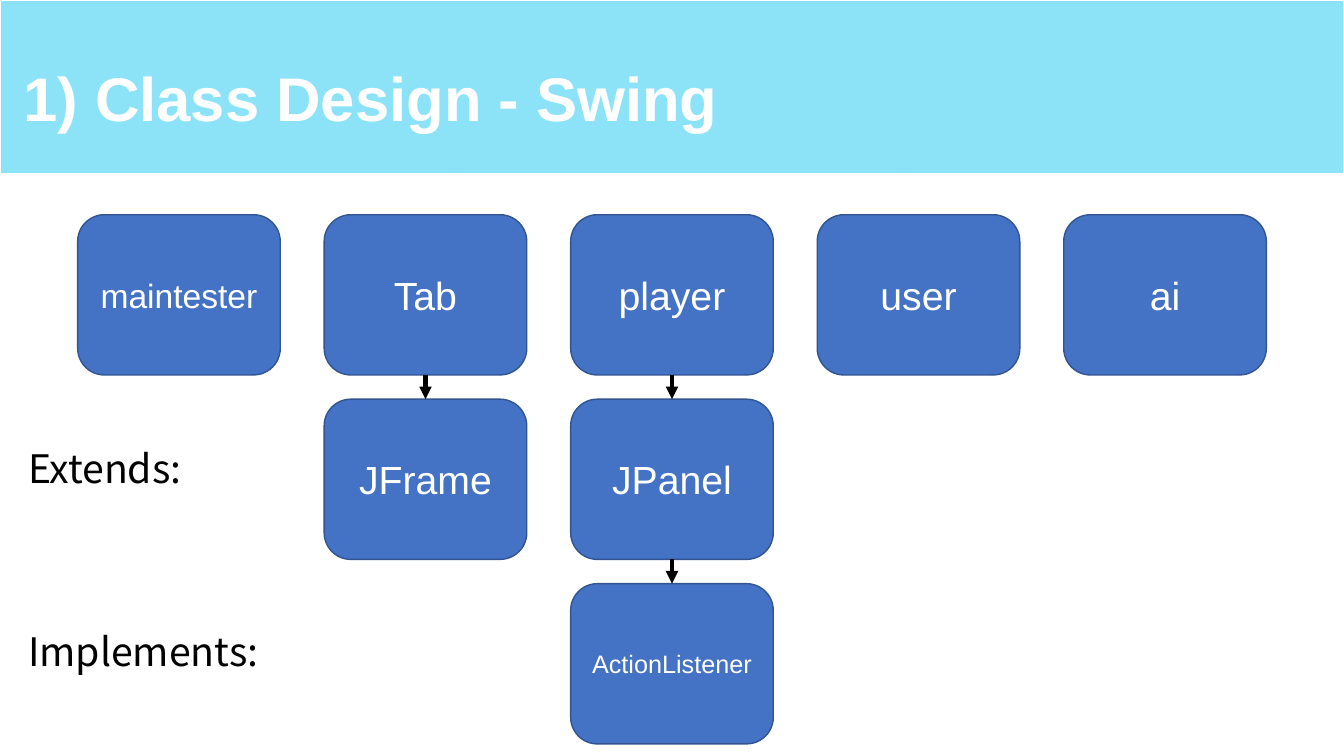
from pptx import Presentation
from pptx.dml.color import RGBColor
from pptx.enum.shapes import MSO_CONNECTOR, MSO_SHAPE
from pptx.enum.text import MSO_ANCHOR, MSO_AUTO_SIZE, PP_ALIGN
from pptx.oxml.ns import qn
from pptx.util import Inches, Pt
from lxml.etree import SubElement

SKY = RGBColor(0x8C, 0xE3, 0xF8)
BLUE = RGBColor(0x44, 0x72, 0xC4)
DARK_BLUE = RGBColor(0x32, 0x54, 0x91)
WHITE = RGBColor(0xFF, 0xFF, 0xFF)
BLACK = RGBColor(0, 0, 0)

BOX_W, BOX_H = 2.01, 1.59
LEFT, COLUMN_STEP = 0.77, 2.445
TOP, ROW_STEP = 2.13, 1.83


def add_run(paragraph, text, font_name, size, color):
    run = paragraph.add_run()
    run.text = text
    run.font.name = font_name
    run.font.size = Pt(size)
    run.font.color.rgb = color
    return run


deck = Presentation()
deck.slide_width, deck.slide_height = Inches(13.33), Inches(7.5)
slide = deck.slides.add_slide(deck.slide_layouts[6])
shapes = slide.shapes

# The default table style supplies the white cell borders
frame = shapes.add_table(2, 3, 0, 0, Inches(13.33), Inches(7.5)).table
frame.horz_banding = False
frame.rows[0].height, frame.rows[1].height = Inches(1.72), Inches(5.78)
for body_cell in frame.rows[1].cells:
    body_cell.fill.background()
header = frame.cell(0, 0)
header.merge(frame.cell(0, 2))
header.fill.solid()
header.fill.fore_color.rgb = SKY
header.vertical_anchor = MSO_ANCHOR.MIDDLE
header.margin_left, header.margin_top = Inches(0.23), Inches(0.31)
heading = add_run(header.text_frame.paragraphs[0], "1) Class Design - Swing", "Arial", 44, WHITE)
heading.font.bold = True

# name, column, row, text size
classes = [
    ("maintester", 0, 0, 24),
    ("Tab", 1, 0, 28),
    ("player", 2, 0, 28),
    ("user", 3, 0, 28),
    ("ai", 4, 0, 28),
    ("JFrame", 1, 1, 28),
    ("JPanel", 2, 1, 28),
    ("ActionListener", 2, 2, 18),
]
class_boxes = {}
for name, column, row, size in classes:
    box = shapes.add_shape(
        MSO_SHAPE.ROUNDED_RECTANGLE,
        Inches(LEFT + column * COLUMN_STEP), Inches(TOP + row * ROW_STEP),
        Inches(BOX_W), Inches(BOX_H))
    box.shadow.inherit = False
    box.fill.solid()
    box.fill.fore_color.rgb = BLUE
    box.line.color.rgb = DARK_BLUE
    box.line.width = Pt(1)
    box.text_frame.word_wrap = True
    box.text_frame.vertical_anchor = MSO_ANCHOR.MIDDLE
    label = box.text_frame.paragraphs[0]
    label.alignment = PP_ALIGN.CENTER
    add_run(label, name, "Arial", size, WHITE)
    class_boxes[name] = box

for child, parent in [("Tab", "JFrame"), ("player", "JPanel"), ("JPanel", "ActionListener")]:
    arrow = shapes.add_connector(MSO_CONNECTOR.STRAIGHT, 0, 0, 0, 0)
    arrow.begin_connect(class_boxes[child], 2)
    arrow.end_connect(class_boxes[parent], 0)
    arrow.line.color.rgb = BLACK
    arrow.line.width = Pt(3)
    SubElement(arrow.line._get_or_add_ln(), qn("a:tailEnd"), type="triangle")
    SubElement(arrow._element.spPr, qn("a:effectLst"))

for relation, top, width in [("Extends:", 4.36, 2.13), ("Implements:", 6.17, 2.71)]:
    caption = shapes.add_textbox(Inches(0.18), Inches(top), Inches(width), Inches(0.57)).text_frame
    caption.word_wrap = True
    caption.auto_size = MSO_AUTO_SIZE.SHAPE_TO_FIT_TEXT
    add_run(caption.paragraphs[0], relation, "Noto Sans CJK KR", 28, BLACK)

deck.save("out.pptx")
